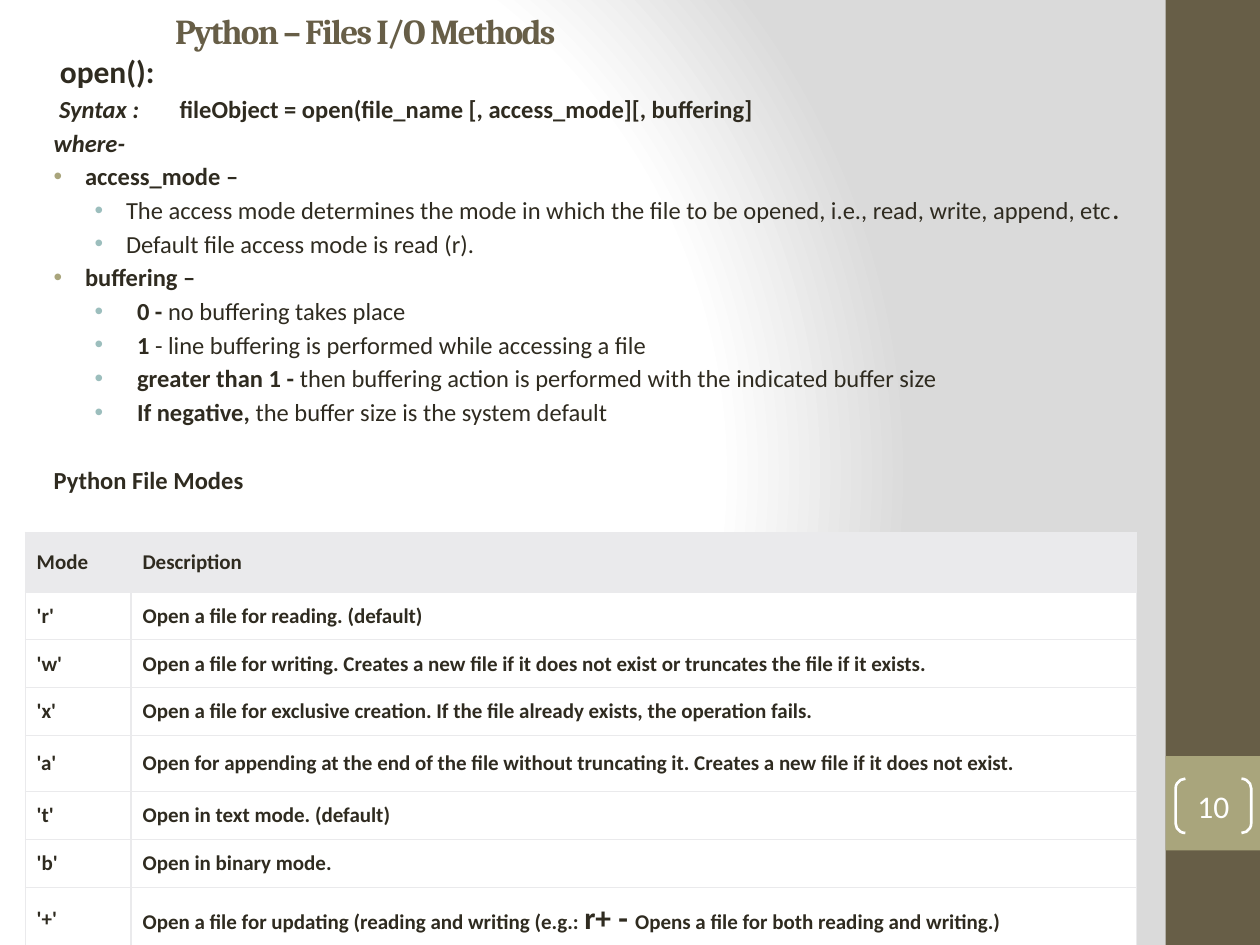
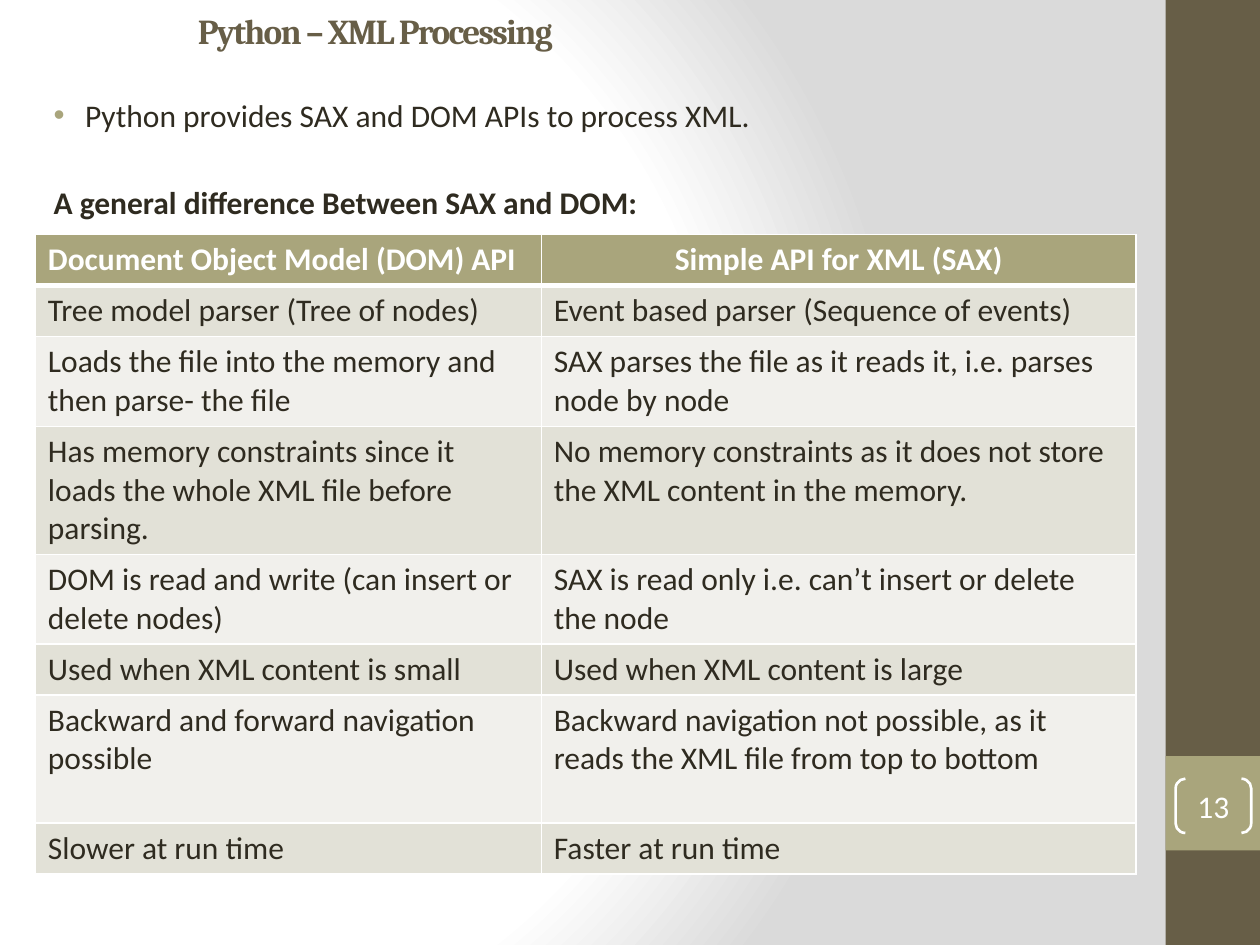
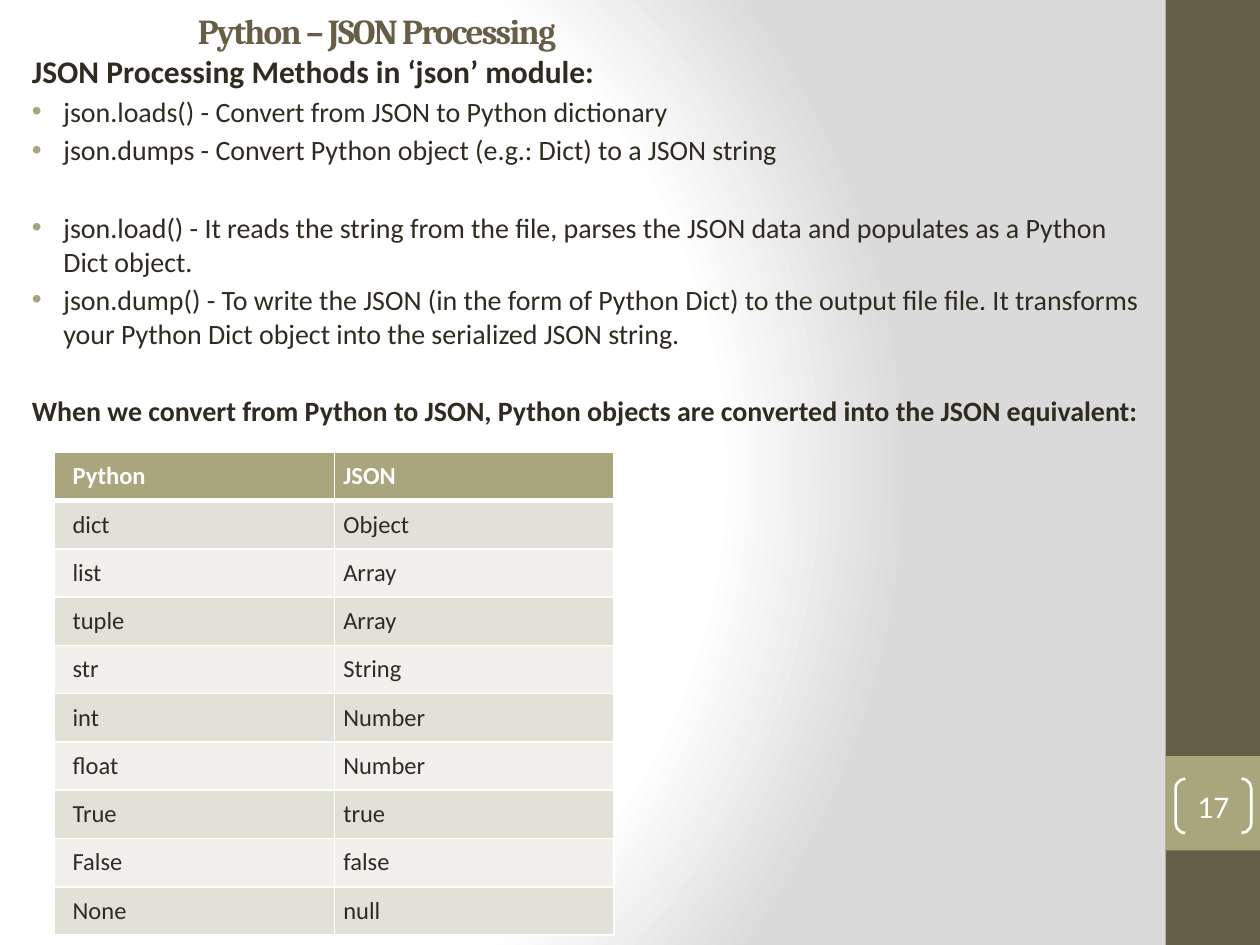
import lxml.etree
import pptx
import pptx.dml.color
import pptx.enum.shapes
import pptx.enum.text
import pptx.oxml.ns
import pptx.util

Pt = pptx.util.Pt
RGBColor = pptx.dml.color.RGBColor
qn = pptx.oxml.ns.qn
add_element = lxml.etree.SubElement
SHAPE = pptx.enum.shapes.MSO_SHAPE
ALIGN = pptx.enum.text.PP_ALIGN
ANCHOR = pptx.enum.text.MSO_ANCHOR

BROWN = RGBColor(0x67, 0x5E, 0x47)
OLIVE = RGBColor(0xA9, 0xA5, 0x7C)
TEAL = RGBColor(0x9C, 0xBE, 0xBD)
INK = RGBColor(0x2F, 0x2B, 0x20)
WHITE = RGBColor(0xFF, 0xFF, 0xFF)
SILVER = RGBColor(0xDA, 0xDA, 0xDA)
GRAY = RGBColor(0xEA, 0xEA, 0xEC)
BAND_DARK = RGBColor(0xE2, 0xE1, 0xD7)
BAND_LIGHT = RGBColor(0xF1, 0xF0, 0xEC)

INDENTS = {
    "plain": (0, 9, 0, None),
    "bullet": (0, 27, -18, OLIVE),
    "sub": (1, 50.4, -18, TEAL),
    "wide sub": (1, 56.7, -24.3, TEAL),
}
SPACE_RATIO = 0.175
PITCH_RATIO = 1.395


def write(para, text, size=14, color=INK, font="Calibri", bold=False, italic=False, spacing=None):
    span = para.add_run()
    span.text = text
    span.font.size = Pt(size)
    span.font.name = font
    span.font.bold = bold
    span.font.italic = italic
    span.font.color.rgb = color
    if spacing is not None:
        span.font._element.set("spc", str(spacing * 100))


BOLD = {"bold": True}
BOLD_18 = {"size": 18, "bold": True}
SIZE_16 = {"size": 16}

pages = [
    {
        "title": "Python – Files I/O Methods",
        "title_indent": 69,
        "number": "10",
        "body_box": (14.4, 652.3),
        "body_margins": (3.6, 7.2),
        "body": [
            ("plain", 0, [(" ", {"size": 16, "bold": True}), ("open():", BOLD_18)]),
            ("plain", 0, [(" ", BOLD), ("Syntax : ", {"bold": True, "italic": True}),
                          ("\tfileObject = open(file_name [, access_mode][, buffering]", BOLD)]),
            ("plain", 0, [("where-", {"bold": True, "italic": True})]),
            ("bullet", 0, [("access_mode – ", BOLD)]),
            ("sub", 0, [("The access mode determines the mode in which the file to be opened, "
                         "i.e., read, write, append, etc", {}), (". ", BOLD)]),
            ("sub", 0, [("Default file access mode is read (r).", {})]),
            ("bullet", 0, [("buffering –", BOLD)]),
            ("wide sub", 0, [("0 - ", BOLD), ("no buffering takes place", {})]),
            ("wide sub", 0, [("1 ", BOLD), ("- line buffering is performed while accessing a file", {})]),
            ("wide sub", 0, [("greater than 1 - ", BOLD),
                             ("then buffering action is performed with the indicated buffer size", {})]),
            ("wide sub", 0, [("If negative, ", BOLD), ("the buffer size is the system default", {})]),
            ("plain", 1, [("Python File Modes", BOLD)]),
        ],
        "table_at": (14.4, 304.3),
        "columns": (60.5, 574.5),
        "heights": [34, 27.4, 27.4, 27.4, 32, 27.4, 27.4, 36],
        "rows": [
            ("Mode", "Description"),
            ("'r'", "Open a file for reading. (default)"),
            ("'w'", "Open a file for writing. Creates a new file if it does not exist "
                    "or truncates the file if it exists."),
            ("'x'", "Open a file for exclusive creation. If the file already exists, the operation fails."),
            ("'a'", "Open for appending at the end of the file without truncating it. "
                    "Creates a new file if it does not exist."),
            ("'t'", "Open in text mode. (default)"),
            ("'b'", "Open in binary mode."),
            ("'+'", [("Open a file for updating (reading and writing (e.g.: ", {}),
                     ("r+ - ", {"size": 18}),
                     ("Opens a file for both reading and writing.)", {})]),
        ],
        "size": 12,
        "body_bold": True,
        "header_color": INK,
        "header_fill": GRAY,
        "bands": (WHITE, WHITE),
        "border": (GRAY, 0.75, 0.75),
        "anchor": ANCHOR.MIDDLE,
        "cell_left": (6.6, 6.6),
        "cell_right": 5,
        "cell_vertical": 6.2,
        "header_align": (ALIGN.LEFT, ALIGN.LEFT),
    },
    {
        "title": "Python – XML Processing",
        "title_indent": 82,
        "number": "13",
        "body_box": (14.4, 652.3),
        "body_margins": (28.7, 7.2),
        "body": [
            ("bullet", 0, [("Python provides SAX and DOM APIs to process XML.", {"size": 18})]),
            ("plain", 1, [("A general difference Between SAX and DOM:", BOLD_18)]),
        ],
        "table_at": (20.2, 134),
        "columns": (289.1, 340),
        "heights": [22 * lines + 7.2 for lines in (1, 1, 2, 3, 2, 1, 3, 1)],
        "rows": [
            ("Document Object Model (DOM) API", "Simple API for XML (SAX)"),
            ("Tree model parser (Tree of nodes)", "Event based parser (Sequence of events)"),
            ("Loads the file into the memory and then parse- the file",
             "SAX parses the file as it reads it, i.e. parses node by node"),
            ("Has memory constraints since it loads the whole XML file before parsing.",
             "No memory constraints as it does not store the XML content in the memory."),
            ("DOM is read and write (can insert or delete nodes)",
             "SAX is read only i.e. can’t insert or delete the node"),
            ("Used when XML content is small", "Used when XML content is large"),
            ("Backward and forward navigation possible",
             "Backward navigation not possible, as it reads the XML file from top to bottom"),
            ("Slower at run time", "Faster at run time"),
        ],
        "size": 18,
        "body_bold": False,
        "header_color": WHITE,
        "header_fill": OLIVE,
        "bands": (BAND_DARK, BAND_LIGHT),
        "border": (WHITE, 1, 3),
        "anchor": ANCHOR.TOP,
        "cell_left": (7.2, 7.2),
        "cell_right": 7.2,
        "cell_vertical": 3.6,
        "header_align": (ALIGN.LEFT, ALIGN.CENTER),
    },
    {
        "title": "Python – JSON Processing",
        "title_indent": 82,
        "number": "17",
        "body_box": (2, 666),
        "body_margins": (3.6, 12),
        "body": [
            ("plain", 0, [("JSON Processing Methods in ‘json’ module:", BOLD_18)]),
            ("bullet", 0, [("json.loads() - Convert from JSON to Python dictionary", SIZE_16)]),
            ("bullet", 0, [("json.dumps - Convert Python object (e.g.: Dict) to a JSON string", SIZE_16)]),
            ("bullet", 1, [("json.load() - It reads the string from the file, parses the JSON data "
                            "and populates as a Python Dict object.", SIZE_16)]),
            ("bullet", 0, [("json.dump() - To write the JSON (in the form of Python Dict) to the output "
                            "file file. It transforms your Python Dict object into the serialized "
                            "JSON string.", SIZE_16)]),
            ("plain", 1, [("When we convert from Python to JSON, Python objects are converted "
                           "into the JSON equivalent:", {"size": 16, "bold": True})]),
        ],
        "table_at": (31, 258.5),
        "columns": (160, 160),
        "heights": [27.6] * 10,
        "rows": [
            ("Python", "JSON"), ("dict", "Object"), ("list", "Array"), ("tuple", "Array"),
            ("str", "String"), ("int", "Number"), ("float", "Number"),
            ("True", "true"), ("False", "false"), ("None", "null"),
        ],
        "size": 14,
        "body_bold": False,
        "header_color": WHITE,
        "header_fill": OLIVE,
        "bands": (BAND_DARK, BAND_LIGHT),
        "border": (WHITE, 1, 3),
        "anchor": ANCHOR.TOP,
        "cell_left": (10.5, 5.2),
        "cell_right": 5.2,
        "cell_vertical": 5.2,
        "header_align": (ALIGN.LEFT, ALIGN.LEFT),
    },
]

deck = pptx.Presentation()
deck.slide_width = Pt(720)
deck.slide_height = Pt(540)
master = deck.slide_master
layout = deck.slide_layouts[1]

master.background.fill.gradient()
gradient = next(master.element.iter(qn("a:gradFill")))
for child in list(gradient):
    gradient.remove(child)
stops = add_element(gradient, qn("a:gsLst"))
for position, color in ((0, WHITE), (75, WHITE), (100, SILVER)):
    stop = add_element(stops, qn("a:gs"), pos=str(position * 1000))
    add_element(stop, qn("a:srgbClr"), val=str(color))
circle = add_element(gradient, qn("a:path"), attrib={"path": "circle"})
add_element(circle, qn("a:fillToRect"), l="20000", t="50000", r="100000", b="50000")

for index, page in enumerate(pages):
    slide = deck.slides.add_slide(layout)

    if index == 0:
        for order, (top, height, color) in enumerate(((0, 540, BROWN), (432, 54, OLIVE))):
            band = slide.shapes.add_shape(SHAPE.RECTANGLE, Pt(666), Pt(top), Pt(54), Pt(height))
            band.shadow.inherit = False
            band.fill.solid()
            band.fill.fore_color.rgb = color
            band.line.fill.background()
            master.shapes.element.insert(2 + order, band.element)

    title = slide.shapes.title
    title.left, title.top, title.width, title.height = Pt(31), Pt(9.4), Pt(600), Pt(15.8)
    frame = title.text_frame
    frame.auto_size = pptx.enum.text.MSO_AUTO_SIZE.NONE
    frame.vertical_anchor = ANCHOR.MIDDLE
    frame.margin_left = Pt(page["title_indent"])
    frame.paragraphs[0].alignment = ALIGN.LEFT
    write(frame.paragraphs[0], page["title"], size=20, color=BROWN, font="Cambria", bold=True, spacing=-1)

    body = slide.placeholders[1]
    left, width = page["body_box"]
    body.left, body.top, body.width, body.height = Pt(left), Pt(26), Pt(width), Pt(514)
    frame = body.text_frame
    frame.auto_size = pptx.enum.text.MSO_AUTO_SIZE.NONE
    frame.margin_top, frame.margin_right = map(Pt, page["body_margins"])
    for number, (kind, gap, spans) in enumerate(page["body"]):
        para = frame.add_paragraph() if number else frame.paragraphs[0]
        level, margin, indent, bullet_color = INDENTS[kind]
        size = spans[-1][1].get("size", 14)
        para.level = level
        para.alignment = ALIGN.LEFT
        para.space_before = Pt(round(size * (SPACE_RATIO + gap * PITCH_RATIO), 2))
        for text, style in spans:
            write(para, text, **style)
        properties = para._p.get_or_add_pPr()
        properties.set("marL", str(Pt(margin)))
        properties.set("indent", str(Pt(indent)))
        if bullet_color is None:
            add_element(properties, qn("a:buNone"))
        else:
            bullet = add_element(properties, qn("a:buClr"))
            add_element(bullet, qn("a:srgbClr"), val=str(bullet_color))
            add_element(properties, qn("a:buChar"), char="•")
        if any("\t" in text for text, style in spans):
            tabs = add_element(properties, qn("a:tabLst"))
            add_element(tabs, qn("a:tab"), pos=str(Pt(85)), algn="l")

    bracket = slide.shapes.add_shape(SHAPE.DOUBLE_BRACKET, Pt(671.8), Pt(445), Pt(43.2), Pt(31))
    bracket.adjustments[0] = 0.18
    bracket.shadow.inherit = False
    bracket.fill.background()
    bracket.line.color.rgb = WHITE
    bracket.line.width = Pt(1.5)
    frame = bracket.text_frame
    frame.margin_left = frame.margin_top = frame.margin_right = frame.margin_bottom = 0
    frame.vertical_anchor = ANCHOR.MIDDLE
    frame.paragraphs[0].alignment = ALIGN.CENTER
    write(frame.paragraphs[0], page["number"], size=18, color=WHITE)

    left, top = page["table_at"]
    rows, columns, heights = page["rows"], page["columns"], page["heights"]
    table = slide.shapes.add_table(len(rows), len(columns), Pt(left), Pt(top),
                                   Pt(sum(columns)), Pt(sum(heights))).table
    for column, width in zip(table.columns, columns):
        column.width = Pt(width)
    border_color, thin, thick = page["border"]
    for row_number, row in enumerate(rows):
        header = row_number == 0
        table.rows[row_number].height = Pt(heights[row_number])
        for column_number, content in enumerate(row):
            cell = table.cell(row_number, column_number)
            cell.vertical_anchor = page["anchor"]
            cell.margin_left = Pt(page["cell_left"][column_number])
            cell.margin_right = Pt(page["cell_right"])
            cell.margin_top = cell.margin_bottom = Pt(page["cell_vertical"])
            properties = cell._tc.get_or_add_tcPr()
            for side in ("L", "R", "T", "B"):
                under_header = (row_number, side) in ((0, "B"), (1, "T"))
                line = add_element(properties, qn("a:ln" + side), w=str(Pt(thick if under_header else thin)))
                paint = add_element(line, qn("a:solidFill"))
                add_element(paint, qn("a:srgbClr"), val=str(border_color))
            cell.fill.solid()
            cell.fill.fore_color.rgb = page["header_fill"] if header else page["bands"][(row_number - 1) % 2]
            para = cell.text_frame.paragraphs[0]
            para.alignment = page["header_align"][column_number] if header else ALIGN.LEFT
            base = {
                "size": page["size"],
                "bold": header or page["body_bold"],
                "color": page["header_color"] if header else INK,
            }
            for text, style in [(content, {})] if isinstance(content, str) else content:
                write(para, text, **{**base, **style})

deck.save("out.pptx")
